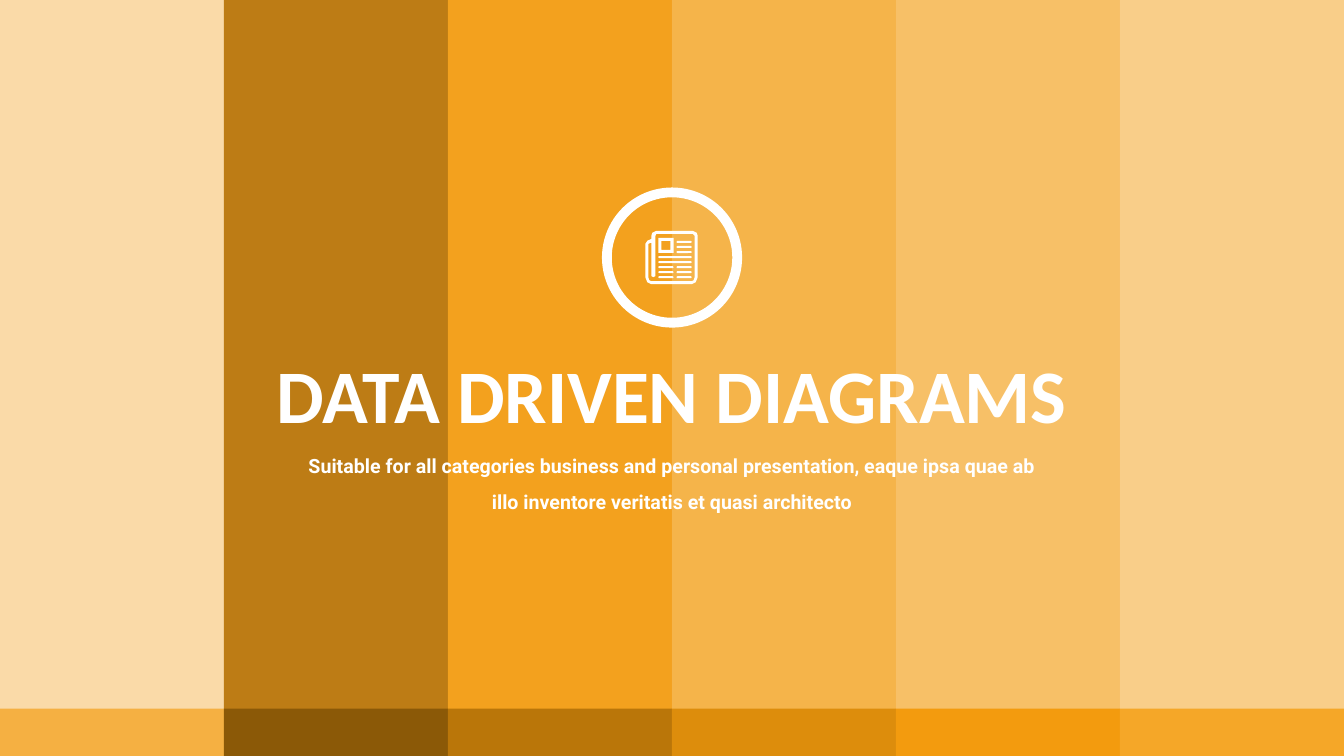
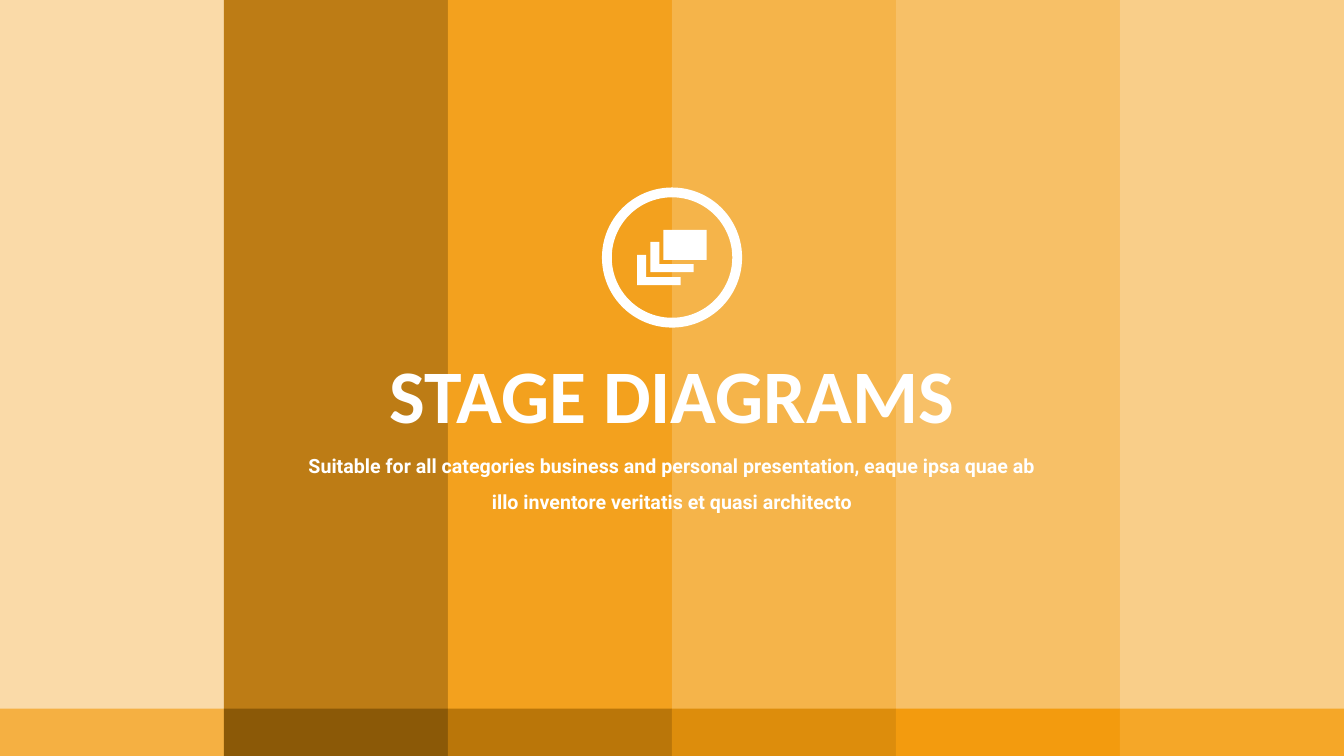
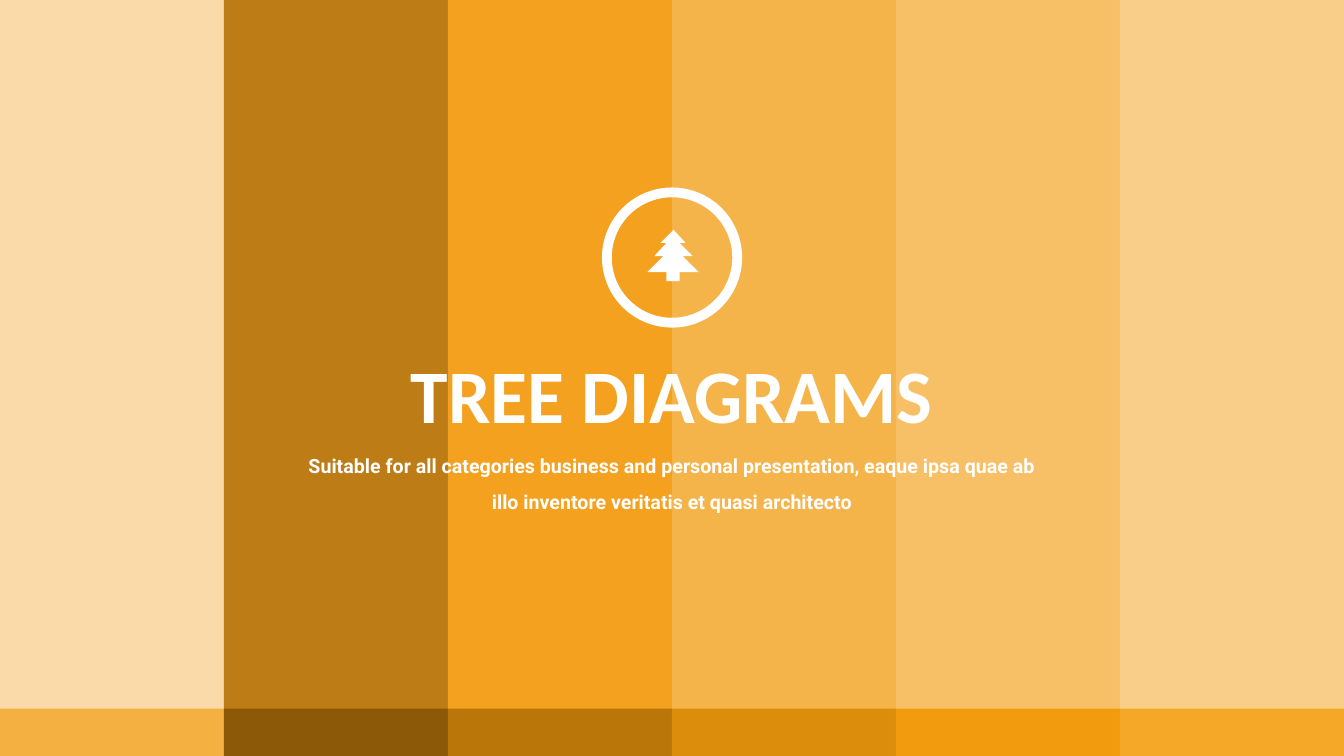
from collections.abc import Callable, Sequence
from dataclasses import dataclass

import lxml.etree
import pptx
import pptx.dml.color
import pptx.dml.fill
import pptx.enum.shapes
import pptx.enum.text
import pptx.oxml.ns
import pptx.shapes.autoshape
import pptx.slide
import pptx.text.text
import pptx.util

Inches = pptx.util.Inches
Preset = pptx.enum.shapes.MSO_SHAPE
Points = Sequence[tuple[float, float]]

SLIDE_WIDTH, SLIDE_HEIGHT = 13.33, 7.5
FOOTER_HEIGHT = 0.48
WHITE = "FFFFFF"
SUBTITLE = (
    "Suitable for all categories business and personal presentation, "
    "eaque ipsa quae ab illo inventore veritatis et quasi architecto"
)
TITLE_FONT = {"name": "Calibri", "size": pptx.util.Pt(54), "bold": True}
SUBTITLE_FONT = {"name": "Roboto", "size": pptx.util.Pt(14), "bold": True}


@dataclass(frozen=True)
class Column:
    """A vertical stripe and the footer block below it."""
    stripe: str
    footer: str


@dataclass(frozen=True)
class Box:
    left: float
    top: float
    width: float
    height: float

    def lengths(self) -> tuple[pptx.util.Length, ...]:
        return tuple(Inches(v) for v in (self.left, self.top, self.width, self.height))


@dataclass(frozen=True)
class Section:
    title: str
    title_width: float
    draw_icon: Callable[[pptx.slide.Slide], None]


COLUMNS = [
    Column("FAD9A4", "F5B042"),
    Column("BA7609", "8B5907"),
    Column("F39C12", "BA7609"),
    Column("F5B041", "DD8D0C"),
    Column("F7BD5F", "F39B0E"),
    Column("F9CC83", "F5A728"),
]
RING = Box(5.97, 1.86, 1.39, 1.39)

PAGE_OUTLINE: Points = [
    (6.51, 2.29), (6.47, 2.31), (6.46, 2.34), (6.46, 2.37), (6.42, 2.39),
    (6.4, 2.42), (6.4, 2.75), (6.42, 2.8), (6.46, 2.82), (6.86, 2.82),
    (6.9, 2.8), (6.92, 2.75), (6.92, 2.34), (6.91, 2.31), (6.87, 2.29),
]
PAGE_INSIDE: Points = [
    (6.89, 2.75), (6.88, 2.78), (6.86, 2.79), (6.46, 2.79), (6.44, 2.78),
    (6.43, 2.75), (6.43, 2.42), (6.45, 2.41), (6.46, 2.41), (6.46, 2.74),
    (6.48, 2.75), (6.5, 2.74), (6.5, 2.34), (6.51, 2.32), (6.87, 2.32), (6.89, 2.34),
]
TREE: Points = [
    (6.93, 2.7), (6.77, 2.54), (6.87, 2.54), (6.74, 2.41), (6.8, 2.41), (6.68, 2.28),
    (6.55, 2.41), (6.61, 2.41), (6.49, 2.54), (6.58, 2.54), (6.42, 2.7),
    (6.61, 2.7), (6.61, 2.79), (6.74, 2.79), (6.74, 2.7),
]


def paint(fill: pptx.dml.fill.FillFormat, color: str) -> None:
    fill.solid()
    fill.fore_color.rgb = pptx.dml.color.RGBColor.from_string(color)


def finish(shape: pptx.shapes.autoshape.Shape, color: str) -> None:
    paint(shape.fill, color)
    shape.line.fill.background()
    shape.shadow.inherit = False


def add_preset(
    slide: pptx.slide.Slide, preset: Preset, box: Box, color: str = WHITE
) -> pptx.shapes.autoshape.Shape:
    shape = slide.shapes.add_shape(preset, *box.lengths())
    finish(shape, color)
    return shape


def add_outline(slide: pptx.slide.Slide, *contours: Points) -> None:
    """Draw a white figure; contours after the first cut holes."""
    scaled = [[(Inches(x), Inches(y)) for x, y in contour] for contour in contours]
    builder = slide.shapes.build_freeform(*scaled[0][0])
    builder.add_line_segments(scaled[0][1:])
    for hole in scaled[1:]:
        builder.move_to(*hole[0])
        builder.add_line_segments(hole[1:])
    finish(builder.convert_to_shape(), WHITE)


def set_opacity(shape: pptx.shapes.autoshape.Shape, percent: int) -> None:
    qn = pptx.oxml.ns.qn
    color = shape.fill._xPr.find(qn("a:solidFill")).find(qn("a:srgbClr"))
    lxml.etree.SubElement(color, qn("a:alpha")).set("val", str(percent * 1000))


def write(
    frame: pptx.text.text.TextFrame, text: str, font_format: dict, wrap: bool
) -> None:
    frame.text = text
    frame.word_wrap = wrap
    frame.auto_size = pptx.enum.text.MSO_AUTO_SIZE.SHAPE_TO_FIT_TEXT
    frame.vertical_anchor = pptx.enum.text.MSO_ANCHOR.TOP
    paragraph = frame.paragraphs[0]
    paragraph.alignment = pptx.enum.text.PP_ALIGN.CENTER
    for attribute, value in font_format.items():
        setattr(paragraph.font, attribute, value)
    paint(paragraph.font.fill, WHITE)


def draw_columns(slide: pptx.slide.Slide) -> None:
    width = SLIDE_WIDTH / len(COLUMNS)
    for i, column in enumerate(COLUMNS):
        stripe = add_preset(
            slide, Preset.RECTANGLE, Box(i * width, 0, width, SLIDE_HEIGHT), column.stripe
        )
        set_opacity(stripe, 95)
    footer_top = SLIDE_HEIGHT - FOOTER_HEIGHT + 0.01
    for i, column in enumerate(COLUMNS):
        footer = Box(i * width, footer_top, width, FOOTER_HEIGHT)
        add_preset(slide, Preset.RECTANGLE, footer, column.footer)


def draw_newspaper(slide: pptx.slide.Slide) -> None:
    add_outline(slide, PAGE_OUTLINE, PAGE_INSIDE)
    photo = add_preset(slide, Preset.FRAME, Box(6.53, 2.36, 0.15, 0.15))
    photo.adjustments[0] = 0.2
    left, right, short, full = 6.53, 6.71, 0.15, 0.33
    beside_photo, across, two_columns = [(right, short)], [(left, full)], [(left, short), (right, short)]
    rows = [beside_photo] * 3 + [across] * 2 + [two_columns] * 3
    for i, row in enumerate(rows):
        for start, width in row:
            line = Box(start, 2.39 + 0.05 * i, width, 0.02)
            add_preset(slide, Preset.ROUNDED_RECTANGLE, line).adjustments[0] = 0.5


def draw_stages(slide: pptx.slide.Slide) -> None:
    add_preset(slide, Preset.RECTANGLE, Box(6.58, 2.28, 0.43, 0.3))
    for x, y in [(6.45, 2.4), (6.32, 2.53)]:
        corner = [(0, 0), (0, 0.3), (0.43, 0.3), (0.43, 0.22), (0.09, 0.22), (0.09, 0)]
        add_outline(slide, [(x + dx, y + dy) for dx, dy in corner])


def draw_tree(slide: pptx.slide.Slide) -> None:
    add_outline(slide, TREE)


def add_section(deck: pptx.presentation.Presentation, section: Section) -> None:
    slide = deck.slides.add_slide(deck.slide_layouts[5])
    draw_columns(slide)

    title = slide.shapes.title
    left = (SLIDE_WIDTH - section.title_width) / 2
    title_box = Box(left, 3.4, section.title_width, 1.01)
    for side, length in zip(("left", "top", "width", "height"), title_box.lengths()):
        setattr(title, side, length)
    write(title.text_frame, section.title, TITLE_FONT, wrap=False)
    # The placeholder starts at the back, so bring it in front of the columns.
    slide.shapes._spTree.append(title._element)

    subtitle = slide.shapes.add_textbox(*Box(2.92, 4.34, 7.49, 0.77).lengths()).text_frame
    write(subtitle, SUBTITLE, SUBTITLE_FONT, wrap=True)
    subtitle.paragraphs[0].line_spacing = 1.5

    add_preset(slide, Preset.DONUT, RING).adjustments[0] = 0.07
    section.draw_icon(slide)


SECTIONS = [
    Section("DATA DRIVEN DIAGRAMS", 8.12, draw_newspaper),
    Section("STAGE DIAGRAMS", 5.86, draw_stages),
    Section("TREE DIAGRAMS", 5.43, draw_tree),
]


def main() -> None:
    deck = pptx.Presentation()
    deck.slide_width, deck.slide_height = Inches(SLIDE_WIDTH), Inches(SLIDE_HEIGHT)
    for section in SECTIONS:
        add_section(deck, section)
    deck.save("out.pptx")


if __name__ == "__main__":
    main()
